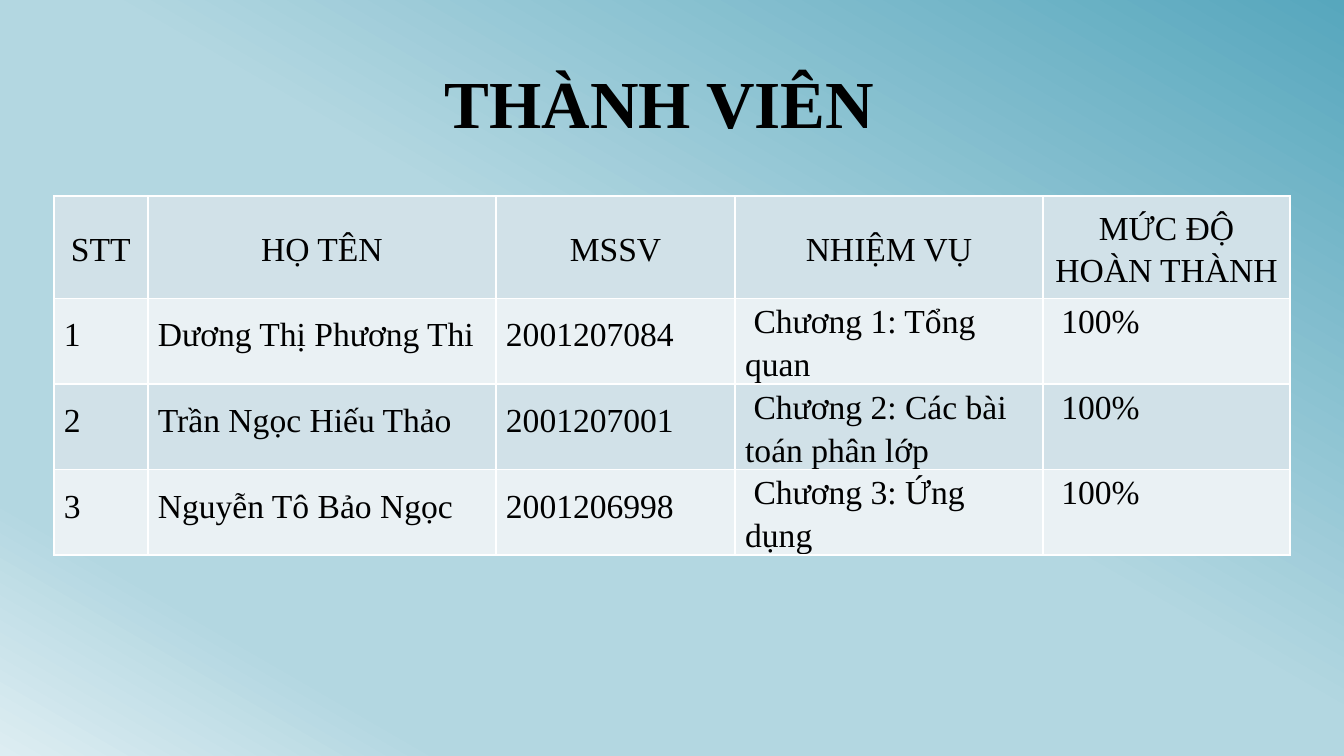
import pptx
import pptx.util
import pptx.dml.color
import pptx.enum.text
import pptx.oxml
import pptx.oxml.ns
from lxml import etree

Inches, Pt = pptx.util.Inches, pptx.util.Pt
RGBColor = pptx.dml.color.RGBColor
PP_ALIGN, MSO_ANCHOR = pptx.enum.text.PP_ALIGN, pptx.enum.text.MSO_ANCHOR
qn = pptx.oxml.ns.qn

BLACK = RGBColor(0x00, 0x00, 0x00)
WHITE = RGBColor(0xFF, 0xFF, 0xFF)
BAND_DARK = RGBColor(0xD1, 0xE1, 0xE8)
BAND_LIGHT = RGBColor(0xEA, 0xF1, 0xF4)
SKY = RGBColor(0xB3, 0xD7, 0xE1)
BACKGROUND_STOPS = [(0, RGBColor(0x57, 0xA7, 0xBD)), (47, SKY),
                    (83, SKY), (100, RGBColor(0xDD, 0xED, 0xF2))]
FONT = "Times New Roman"
NBSP = chr(160)  # no-break space that leads the last two columns

COLUMN_WIDTHS = [0.7, 2.59, 1.78, 2.29, 1.84]
ROW_HEIGHTS = [0.76, 0.49, 0.49, 0.49]
HEADERS = ["STT", "HỌ TÊN", "MSSV", "NHIỆM VỤ", "MỨC ĐỘ HOÀN THÀNH"]
MEMBERS = [
    ["1", "Dương Thị Phương Thi", "2001207084", NBSP + "Chương 1: Tổng quan", NBSP + "100%"],
    ["2", "Trần Ngọc Hiếu Thảo", "2001207001", NBSP + "Chương 2: Các bài toán phân lớp", NBSP + "100%"],
    ["3", "Nguyễn Tô Bảo Ngọc", "2001206998", NBSP + "Chương 3: Ứng dụng", NBSP + "100%"],
]


def add_run(p, text, size, bold=False):
    r = p.add_run()
    r.text = text
    r.font.name = FONT
    r.font.size = Pt(size)
    r.font.bold = bold
    r.font.color.rgb = BLACK


def paint_background(slide):
    fill = slide.background.fill
    fill.gradient()
    fill.gradient_angle = 240  # counter-clockwise: top right to bottom left
    stops = next(slide.element.iter(qn("a:gsLst")))
    for stop in list(stops):
        stops.remove(stop)
    for position, color in BACKGROUND_STOPS:
        stop = etree.SubElement(stops, qn("a:gs"), pos=str(position * 1000))
        etree.SubElement(stop, qn("a:srgbClr"), val=str(color))


def add_title(slide, left, top, width, height):
    sp = slide.shapes.add_textbox(left, top, width, height)
    tf = sp.text_frame
    tf.word_wrap = True
    tf.vertical_anchor = MSO_ANCHOR.MIDDLE
    add_run(tf.paragraphs[0], "THÀNH VIÊN", 36, bold=True)


def set_borders(cell):
    tc_pr = cell._tc.get_or_add_tcPr()
    for i, side in enumerate(("a:lnL", "a:lnR", "a:lnT", "a:lnB")):
        line = etree.Element(qn(side), w=str(Pt(1)))
        solid = etree.SubElement(line, qn("a:solidFill"))
        etree.SubElement(solid, qn("a:srgbClr"), val=str(WHITE))
        tc_pr.insert(i, line)  # borders come before the fill


def fill_cell(cell, text, row, column):
    is_header = row == 0
    cell.fill.solid()
    cell.fill.fore_color.rgb = BAND_LIGHT if row % 2 else BAND_DARK
    set_borders(cell)
    cell.margin_left = cell.margin_right = Pt(5.4)
    cell.margin_top = cell.margin_bottom = 0
    cell.vertical_anchor = MSO_ANCHOR.MIDDLE if is_header else MSO_ANCHOR.TOP
    p = cell.text_frame.paragraphs[0]
    p.alignment = PP_ALIGN.CENTER if is_header else PP_ALIGN.LEFT
    p.line_spacing = 1.15 if is_header or column >= 3 else 1.5
    p.space_after = Pt(10)
    add_run(p, text, 18)


def add_member_table(slide, left, top, width, height):
    rows = [HEADERS] + MEMBERS
    table = slide.shapes.add_table(len(rows), len(HEADERS),
                                   left, top, width, height).table
    for column, column_width in zip(table.columns, COLUMN_WIDTHS):
        column.width = Inches(column_width)
    for row, row_height in zip(table.rows, ROW_HEIGHTS):
        row.height = Inches(row_height)
    for i, texts in enumerate(rows):
        for j, text in enumerate(texts):
            fill_cell(table.cell(i, j), text, i, j)


def main():
    prs = pptx.Presentation()
    prs.slide_width = Inches(10)
    prs.slide_height = prs.slide_width * 9 // 16  # widescreen
    slide = prs.slides.add_slide(prs.slide_layouts[6])
    paint_background(slide)
    add_member_table(slide, Inches(0.4), Inches(1.46), Inches(9.2), Inches(2.75))
    add_title(slide, Inches(3.21), Inches(0.44), Inches(5.27), Inches(0.63))
    prs.save("out.pptx")


if __name__ == "__main__":
    main()
